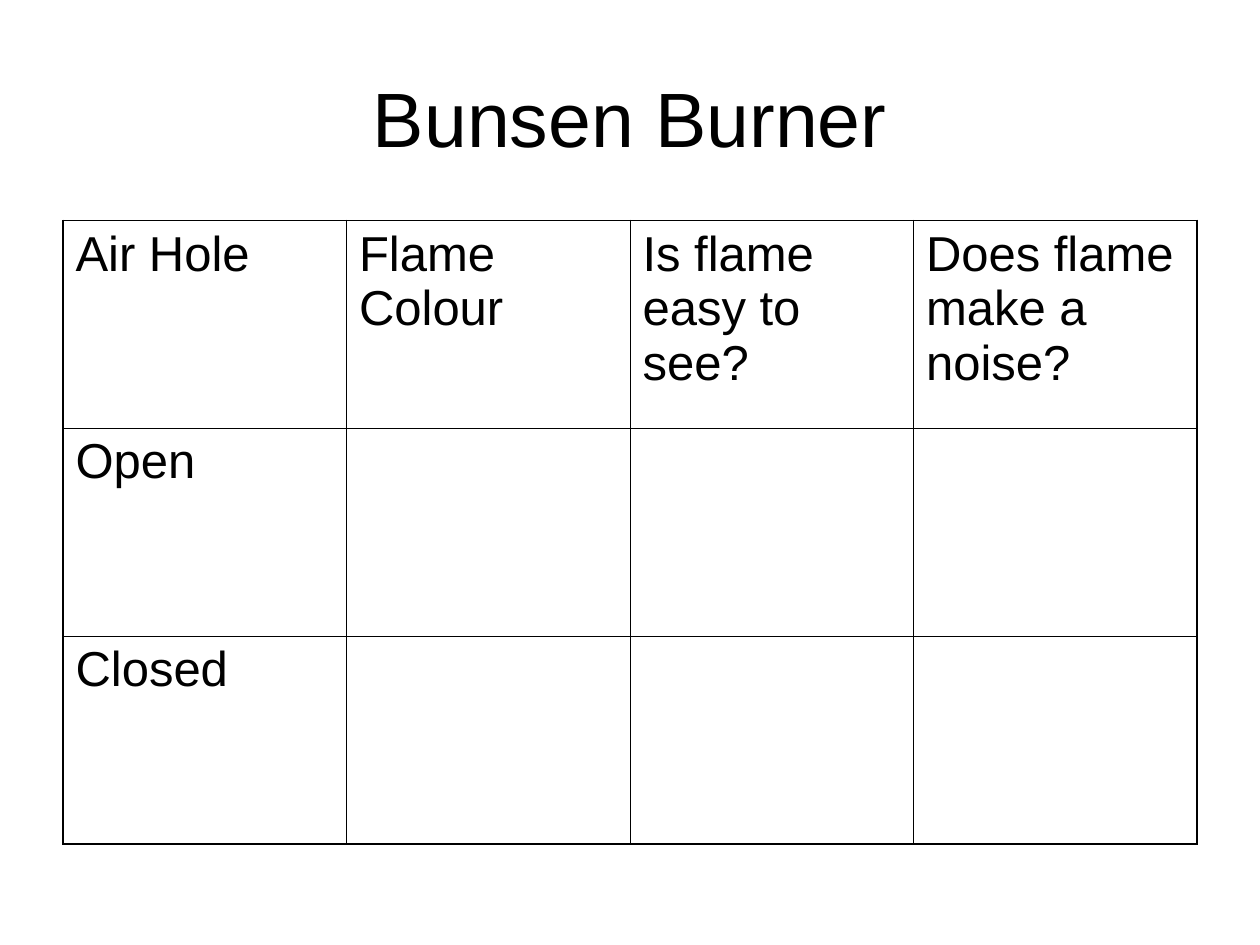
from lxml import etree
from pptx import Presentation
from pptx.dml.color import RGBColor
from pptx.enum import text
from pptx.oxml import ns
from pptx.util import Pt

HUES = {"ink": "000000", "page": "FFFFFF"}
THIN, THICK = 0.45, 1.08
INK = RGBColor.from_string(HUES["ink"])


def write(para, words, size):
    run = para.add_run()
    run.text = words
    run.font.name = "Arial"
    run.font.size = Pt(size)
    run.font.color.rgb = INK


def border(cell, widths):
    props = cell._tc.get_or_add_tcPr()
    for i, (side, width) in enumerate(widths.items()):
        line = etree.Element(ns.qn(f"a:ln{side}"), w=str(int(Pt(width))))
        fill = etree.SubElement(line, ns.qn("a:solidFill"))
        etree.SubElement(fill, ns.qn("a:srgbClr"), val=HUES["ink"])
        props.insert(i, line)


# Slide
deck = Presentation()
deck.slide_width, deck.slide_height = Pt(720), Pt(540)
slide = deck.slides.add_slide(deck.slide_layouts[5])
back = slide.background.fill
back.solid()
back.fore_color.rgb = RGBColor.from_string(HUES["page"])

# Title
title = slide.shapes.title
title.left, title.top, title.width, title.height = Pt(36), Pt(21.6), Pt(648), Pt(90)
title.text_frame.vertical_anchor = text.MSO_ANCHOR.MIDDLE
head = title.text_frame.paragraphs[0]
head.alignment = text.PP_ALIGN.CENTER
write(head, "Bunsen Burner", 44)

# Results table
rows = [
    ["Air Hole", "Flame Colour", "Is flame easy to see?", "Does flame make a noise?"],
    ["Open", "", "", ""],
    ["Closed", "", "", ""],
]
last_row, last_col = len(rows) - 1, len(rows[0]) - 1
table = slide.shapes.add_table(
    len(rows), len(rows[0]), Pt(36), Pt(126), Pt(648), Pt(356.4)).table
table.first_row = table.horz_banding = False
for row in table.rows:
    row.height = Pt(118.8)

for r, row in enumerate(rows):
    for c, words in enumerate(row):
        cell = table.cell(r, c)
        cell.fill.background()
        cell.margin_left = cell.margin_right = Pt(7.2)
        cell.margin_top = cell.margin_bottom = Pt(3.6)
        if words:
            write(cell.text_frame.paragraphs[0], words, 28)
        # Outer edges are thicker than inner ones
        border(cell, {
            "L": THICK if c == 0 else THIN,
            "R": THICK if c == last_col else THIN,
            "T": THICK if r == 0 else THIN,
            "B": THICK if r == last_row else THIN,
        })

deck.save("out.pptx")
